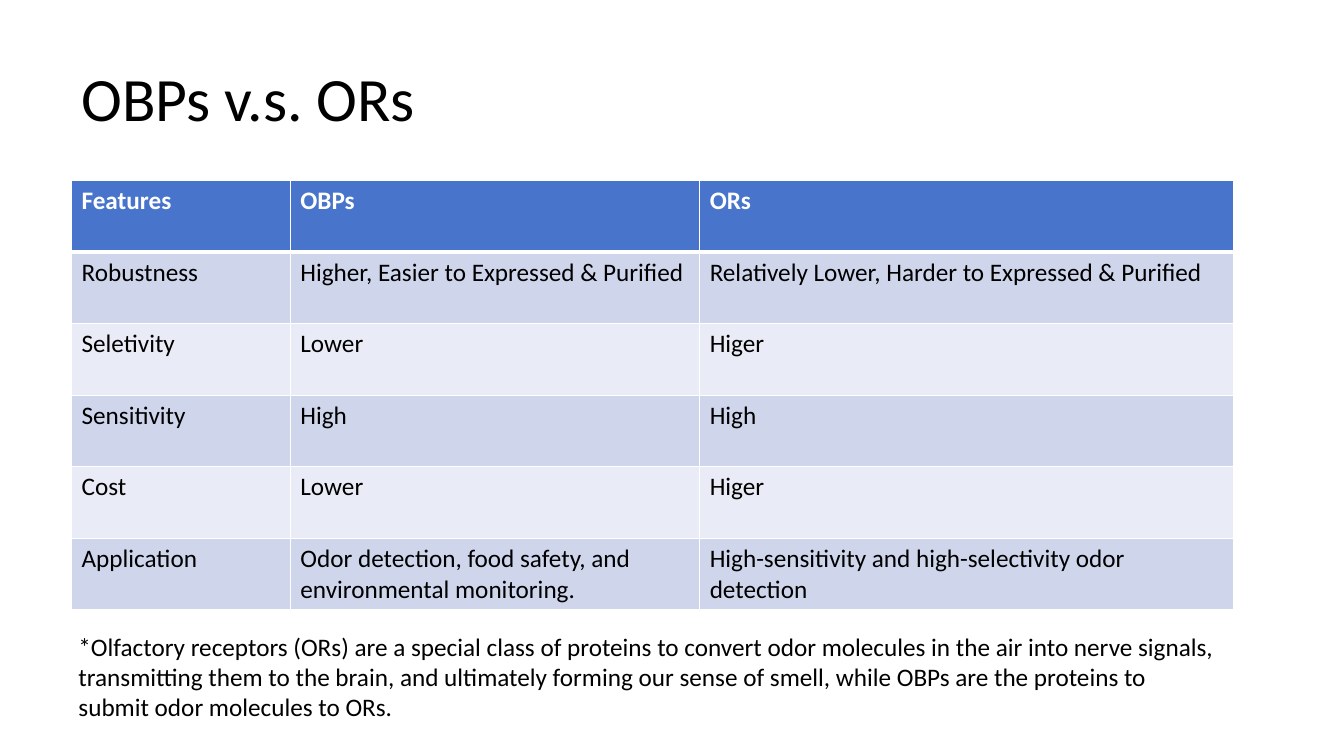
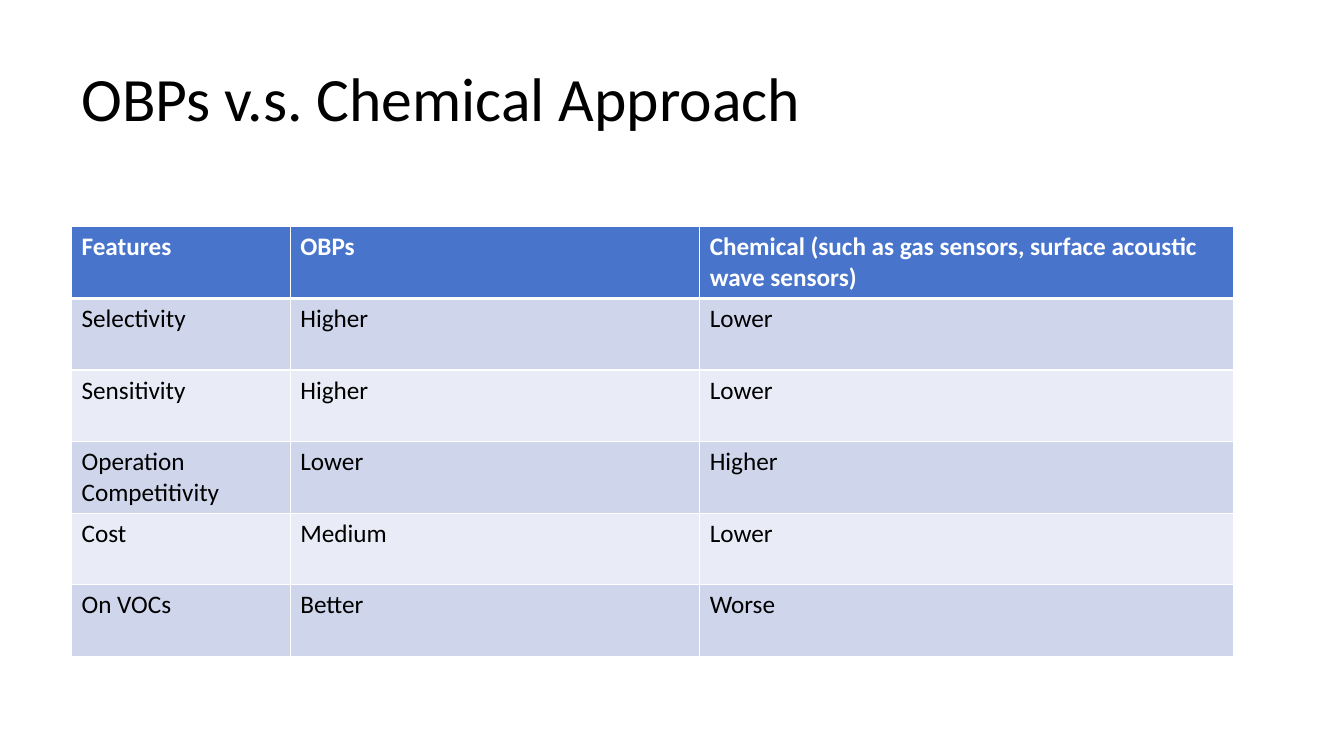
from lxml.etree import SubElement
from pptx import Presentation
from pptx.dml.color import RGBColor
from pptx.enum.text import MSO_ANCHOR, MSO_AUTO_SIZE, PP_ALIGN
from pptx.oxml.ns import qn
from pptx.util import Pt

EMU_PER_PX = 9144  # 100 px to the inch
FONT = "Calibri"
COLORS = {
    "text": "000000",
    "header_text": "FFFFFF",
    "header": "4874CB",
    "dark_band": "CFD6EC",
    "light_band": "E9EBF6",
    "border": "FFFFFF",
}
TITLE_BOX = (71, 28, 1150, 145)
COLUMN_WIDTHS = (217, 406, 530)
ROW_HEIGHT = 71
TABLE_LEFT = 71
THIN, THICK = 1, 3

RECEPTOR_ROWS = [
    ("Features", "OBPs", "ORs"),
    ("Robustness", "Higher, Easier to Expressed & Purified",
     "Relatively Lower, Harder to Expressed & Purified"),
    ("Seletivity", "Lower", "Higer"),
    ("Sensitivity", "High", "High"),
    ("Cost", "Lower", "Higer"),
    ("Application", "Odor detection, food safety, and environmental monitoring.",
     "High-sensitivity and high-selectivity odor detection"),
]
RECEPTOR_NOTE = (
    "*Olfactory receptors (ORs) are a special class of proteins to convert odor "
    "molecules in the air into nerve signals, transmitting them to the brain, and "
    "ultimately forming our sense of smell, while OBPs are the proteins to submit "
    "odor molecules to ORs."
)
CHEMICAL_ROWS = [
    ("Features", "OBPs",
     "Chemical (such as gas sensors, surface acoustic wave sensors)"),
    ("Selectivity", "Higher", "Lower"),
    ("Sensitivity", "Higher", "Lower"),
    ("Operation Competitivity", "Lower", "Higher"),
    ("Cost", "Medium", "Lower"),
    ("On VOCs", "Better", "Worse"),
]


def px(length):
    return length * EMU_PER_PX


def add_run(paragraph, text, size, color="text", bold=False):
    run = paragraph.add_run()
    run.text = text
    run.font.name = FONT
    run.font.size = Pt(size)
    run.font.bold = bold
    run.font.color.rgb = RGBColor.from_string(COLORS[color])


def place_title(slide, text, box):
    title = slide.shapes.title
    title.left, title.top, title.width, title.height = map(px, box)
    frame = title.text_frame
    frame.auto_size = MSO_AUTO_SIZE.NONE
    frame.word_wrap = True
    frame.vertical_anchor = MSO_ANCHOR.MIDDLE
    paragraph = frame.paragraphs[0]
    paragraph.alignment = PP_ALIGN.LEFT
    paragraph.line_spacing = 0.9
    add_run(paragraph, text, 44)


def set_borders(cell, top, bottom):
    """Draw the four cell borders; must run before the cell gets its fill."""
    properties = cell._tc.get_or_add_tcPr()
    widths = {"a:lnL": THIN, "a:lnR": THIN, "a:lnT": top, "a:lnB": bottom}
    for tag, width in widths.items():
        line = SubElement(properties, qn(tag), w=str(Pt(width)))
        fill = SubElement(line, qn("a:solidFill"))
        SubElement(fill, qn("a:srgbClr"), val=COLORS["border"])


def add_comparison_table(slide, rows, left, top):
    table = slide.shapes.add_table(
        len(rows), len(COLUMN_WIDTHS), px(left), px(top),
        px(sum(COLUMN_WIDTHS)), px(ROW_HEIGHT * len(rows)),
    ).table
    for column, width in zip(table.columns, COLUMN_WIDTHS):
        column.width = px(width)
    for row_index, texts in enumerate(rows):
        is_header = row_index == 0
        band = "header" if is_header else ("light_band", "dark_band")[row_index % 2]
        for column_index, text in enumerate(texts):
            cell = table.cell(row_index, column_index)
            set_borders(cell, top=THICK if row_index == 1 else THIN,
                        bottom=THICK if is_header else THIN)
            cell.fill.solid()
            cell.fill.fore_color.rgb = RGBColor.from_string(COLORS[band])
            add_run(cell.text_frame.paragraphs[0], text, 18,
                    "header_text" if is_header else "text", is_header)


def add_note(slide, text, box):
    frame = slide.shapes.add_textbox(*map(px, box)).text_frame
    frame.word_wrap = True
    frame.auto_size = MSO_AUTO_SIZE.SHAPE_TO_FIT_TEXT
    add_run(frame.paragraphs[0], text, 18)


def add_comparison_slide(presentation, title, rows, table_top):
    slide = presentation.slides.add_slide(
        presentation.slide_layouts.get_by_name("Title Only"))
    place_title(slide, title, TITLE_BOX)
    add_comparison_table(slide, rows, TABLE_LEFT, table_top)
    return slide


def main():
    presentation = Presentation()
    presentation.slide_width, presentation.slide_height = px(1333), px(750)
    receptor_slide = add_comparison_slide(
        presentation, "OBPs v.s. ORs", RECEPTOR_ROWS, 179)
    add_note(receptor_slide, RECEPTOR_NOTE, (68, 621, 1153, 101))
    add_comparison_slide(
        presentation, "OBPs v.s. Chemical Approach", CHEMICAL_ROWS, 225)
    presentation.save("out.pptx")


if __name__ == "__main__":
    main()
